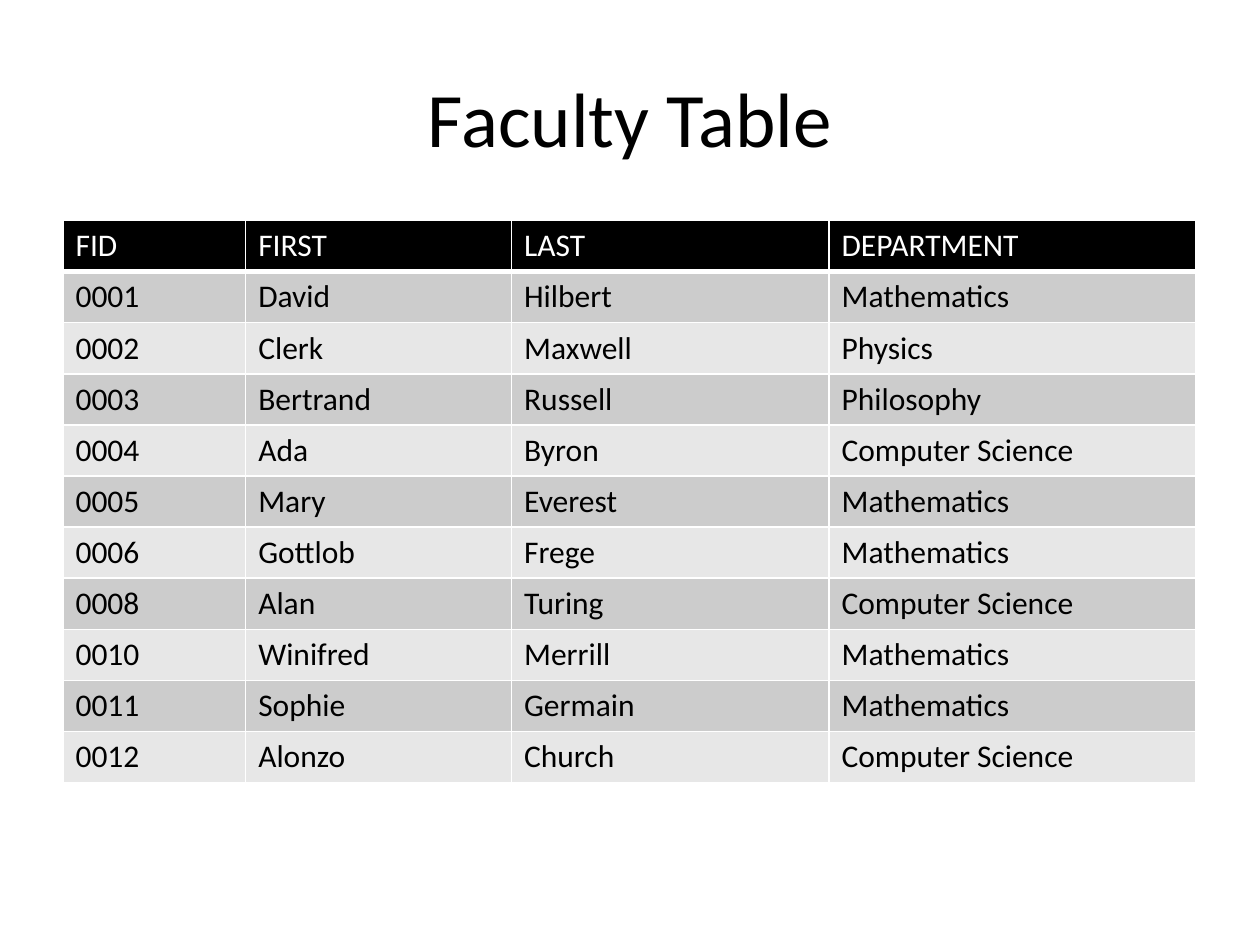
from dataclasses import dataclass

from lxml import etree
from pptx import Presentation
from pptx.dml.color import RGBColor
from pptx.enum.text import MSO_ANCHOR, PP_ALIGN
from pptx.oxml.ns import qn
from pptx.util import Inches, Pt

CENTER = PP_ALIGN.CENTER
MIDDLE = MSO_ANCHOR.MIDDLE
TITLE_ONLY = 5


@dataclass(frozen=True)
class Theme:
    font: str = "Calibri"
    title_size: int = 44
    body_size: int = 18
    ink: str = "000000"
    paper: str = "FFFFFF"
    bands: tuple = ("CCCCCC", "E7E7E7")
    rule: int = 1
    header_rule: int = 3


class SlideBuilder:
    def __init__(self, prs, theme, columns=20, rows=30):
        self.theme = theme
        self.s = prs.slides.add_slide(prs.slide_layouts[TITLE_ONLY])
        self.col = prs.slide_width / columns
        self.row = prs.slide_height / rows

    def box(self, x, y, w, h):
        return (round(x * self.col), round(y * self.row),
                round(w * self.col), round(h * self.row))

    def style(self, p, size, color):
        for r in p.runs:
            r.font.name = self.theme.font
            r.font.size = Pt(size)
            r.font.bold = False
            r.font.color.rgb = RGBColor.from_string(color)

    def title(self, text, x, y, w, h):
        sp = self.s.shapes.title
        sp.left, sp.top, sp.width, sp.height = self.box(x, y, w, h)
        tf = sp.text_frame
        tf.text = text
        tf.vertical_anchor = MIDDLE
        p = tf.paragraphs[0]
        p.alignment = CENTER
        self.style(p, self.theme.title_size, self.theme.ink)

    def borders(self, cell, bottom):
        tc_pr = cell._tc.get_or_add_tcPr()
        widths = {"lnL": self.theme.rule, "lnR": self.theme.rule,
                  "lnT": self.theme.rule, "lnB": bottom}
        for i, (side, width) in enumerate(widths.items()):
            ln = etree.Element(qn(f"a:{side}"), w=str(Pt(width)))
            fill = etree.SubElement(ln, qn("a:solidFill"))
            etree.SubElement(fill, qn("a:srgbClr"), val=self.theme.paper)
            tc_pr.insert(i, ln)

    def table(self, data, x, y, widths, h):
        frame = self.s.shapes.add_table(
            len(data), len(widths), *self.box(x, y, sum(widths), h))
        table = frame.table
        for column, width in zip(table.columns, widths):
            column.width = round(width * self.col)
        for i, values in enumerate(data):
            header = i == 0
            fill = self.theme.ink if header else self.theme.bands[(i - 1) % 2]
            color = self.theme.paper if header else self.theme.ink
            bottom = self.theme.header_rule if header else self.theme.rule
            for j, value in enumerate(values):
                cell = table.cell(i, j)
                cell.text = value
                cell.fill.solid()
                cell.fill.fore_color.rgb = RGBColor.from_string(fill)
                self.style(cell.text_frame.paragraphs[0],
                           self.theme.body_size, color)
                self.borders(cell, bottom)


FACULTY = [
    ("FID", "FIRST", "LAST", "DEPARTMENT"),
    ("0001", "David", "Hilbert", "Mathematics"),
    ("0002", "Clerk", "Maxwell", "Physics"),
    ("0003", "Bertrand", "Russell", "Philosophy"),
    ("0004", "Ada", "Byron", "Computer Science"),
    ("0005", "Mary", "Everest", "Mathematics"),
    ("0006", "Gottlob", "Frege", "Mathematics"),
    ("0008", "Alan", "Turing", "Computer Science"),
    ("0010", "Winifred", "Merrill", "Mathematics"),
    ("0011", "Sophie", "Germain", "Mathematics"),
    ("0012", "Alonzo", "Church", "Computer Science"),
]

prs = Presentation()
prs.slide_width = Inches(10)
prs.slide_height = Inches(7.5)
slide = SlideBuilder(prs, Theme())
slide.title("Faculty Table", 1, 1.2, 18, 5)
slide.table(FACULTY, 1, 7, (2.9, 4.22, 5.04, 5.82), 17.84)
prs.save("out.pptx")
